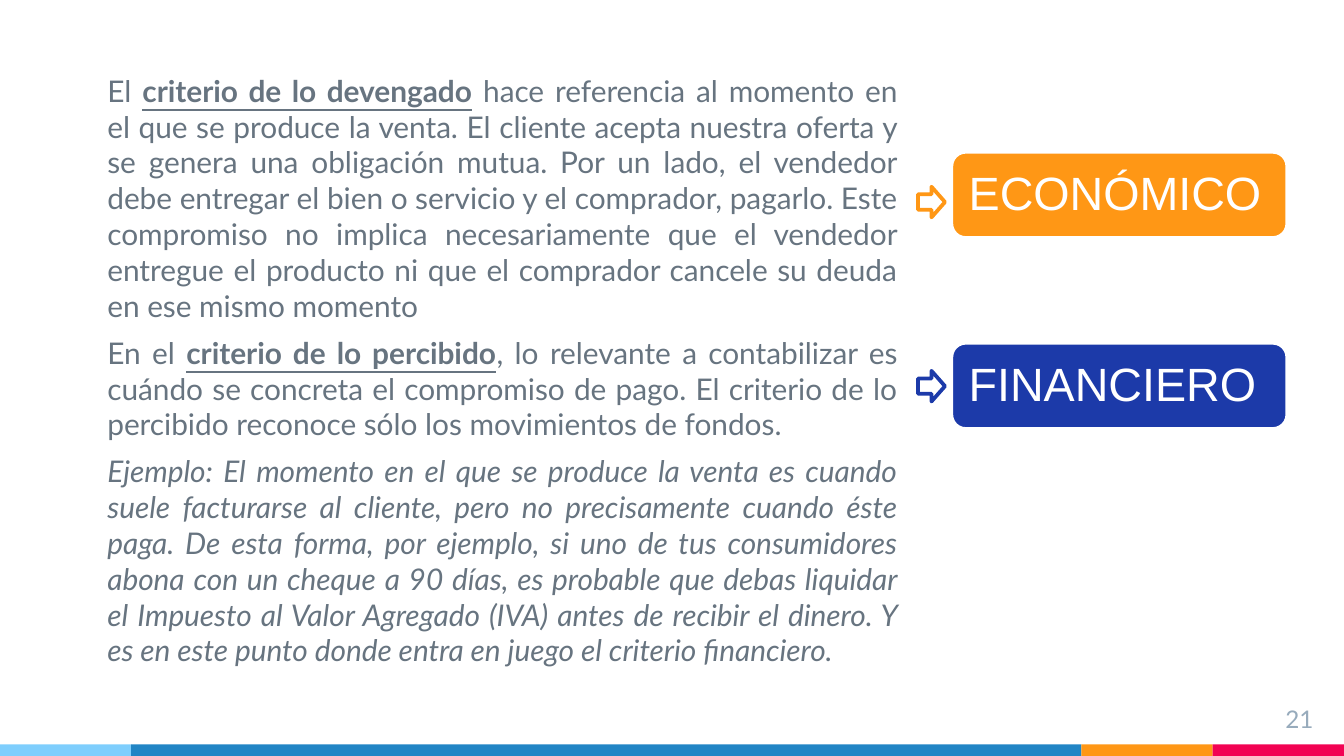
from pptx import Presentation
from pptx.dml.color import RGBColor
from pptx.enum.shapes import MSO_SHAPE as Shape
from pptx.enum.text import MSO_ANCHOR as Anchor, PP_ALIGN as Align
from pptx.util import Cm, Pt

COLORS = {
    "white": "FFFFFF", "text": "677480", "number": "97ABBC",
    "orange": "FF9715", "navy": "1C3AA9", "pink": "F20253",
    "sky": "7ECEFD", "blue": "2185C5",
}
KEY = {"bold": True, "underline": True}
PARAGRAPHS = [
    [("El ", {}), ("criterio de lo devengado", KEY),
     (" hace referencia al momento en el que se produce la venta. El cliente "
      "acepta nuestra oferta y se genera una obligación mutua. Por un lado, el "
      "vendedor debe entregar el bien o servicio y el comprador, pagarlo. Este "
      "compromiso no implica necesariamente que el vendedor entregue el producto "
      "ni que el comprador cancele su deuda en ese mismo momento", {})],
    [("En el ", {}), ("criterio de lo percibido", KEY),
     (", lo relevante a contabilizar es cuándo se concreta el compromiso de pago. "
      "El criterio de lo percibido reconoce sólo los movimientos de fondos.", {})],
    [("Ejemplo: El momento en el que se produce la venta es cuando suele "
      "facturarse al cliente, pero no precisamente cuando éste paga. De esta "
      "forma, por ejemplo, si uno de tus consumidores abona con un cheque a 90 "
      "días, es probable que debas liquidar el Impuesto al Valor Agregado (IVA) "
      "antes de recibir el dinero. Y es en este punto donde entra en juego el "
      "criterio financiero.", {"italic": True})],
]
# label, colour, label top, arrow top (cm)
CRITERIA = [("ECONÓMICO", "orange", 2.87, 3.53), ("FINANCIERO", "navy", 6.48, 7.01)]
# colour, width (cm)
STRIPES = [("sky", 2.48), ("blue", 17.96), ("orange", 2.48), ("pink", 2.48)]
STRIPE_TOP, STRIPE_HEIGHT = 14.07, 0.22


def add_span(para, text, color, size, font="Lato", bold=False, italic=False,
             underline=False):
    span = para.add_run()
    span.text = text
    style = span.font
    style.name, style.size = font, Pt(size)
    style.bold, style.italic, style.underline = bold, italic, underline
    style.color.rgb = RGBColor.from_string(COLORS[color])


def prepare_frame(shape, anchor=Anchor.TOP):
    """Set wrapping, anchor and equal margins, and return the text frame."""
    frame = shape.text_frame
    frame.word_wrap = True
    frame.vertical_anchor = anchor
    frame.margin_left = frame.margin_right = Cm(0.25)
    frame.margin_top = frame.margin_bottom = Cm(0.25)
    return frame


def add_box(page, left, top, width, height):
    return prepare_frame(page.shapes.add_textbox(Cm(left), Cm(top), Cm(width), Cm(height)))


def add_figure(page, kind, left, top, width, height, fill, line=None):
    shape = page.shapes.add_shape(kind, Cm(left), Cm(top), Cm(width), Cm(height))
    shape.shadow.inherit = False
    shape.fill.solid()
    shape.fill.fore_color.rgb = RGBColor.from_string(COLORS[fill])
    if line:
        shape.line.color.rgb = RGBColor.from_string(COLORS[line])
        shape.line.width = Pt(2)
    else:
        shape.line.fill.background()
    return shape


def main():
    deck = Presentation()
    deck.slide_width, deck.slide_height = Cm(25.4), Cm(14.29)
    page = deck.slides.add_slide(deck.slide_layouts[6])

    left = 0
    for color, width in STRIPES:
        add_figure(page, Shape.RECTANGLE, left, STRIPE_TOP, width, STRIPE_HEIGHT, color)
        left += width

    para = add_box(page, 23.55, 13.06, 1.52, 0.86).paragraphs[0]
    para.alignment = Align.RIGHT
    add_span(para, "21", "number", 13)

    frame = add_box(page, 1.5, 1.12, 15.72, 12.34)
    for index, spans in enumerate(PARAGRAPHS):
        para = frame.add_paragraph() if index else frame.paragraphs[0]
        para.alignment = Align.JUSTIFY
        para.space_before = Pt(6 if index else 0)
        para._p.get_or_add_pPr().set("marL", str(Cm(0.28)))
        for text, style in spans:
            add_span(para, text, "text", 16, **style)

    for label, color, label_top, arrow_top in CRITERIA:
        button = add_figure(page, Shape.ROUNDED_RECTANGLE, 17.98, label_top, 6.35, 1.63,
                            color, line="white")
        para = prepare_frame(button, Anchor.MIDDLE).paragraphs[0]
        para.alignment = Align.LEFT
        para.line_spacing = 0.9
        add_span(para, label, "white", 25, font="Arial")
        add_figure(page, Shape.RIGHT_ARROW, 17.35, arrow_top, 0.51, 0.58, "white", line=color)

    deck.save("out.pptx")


if __name__ == "__main__":
    main()
